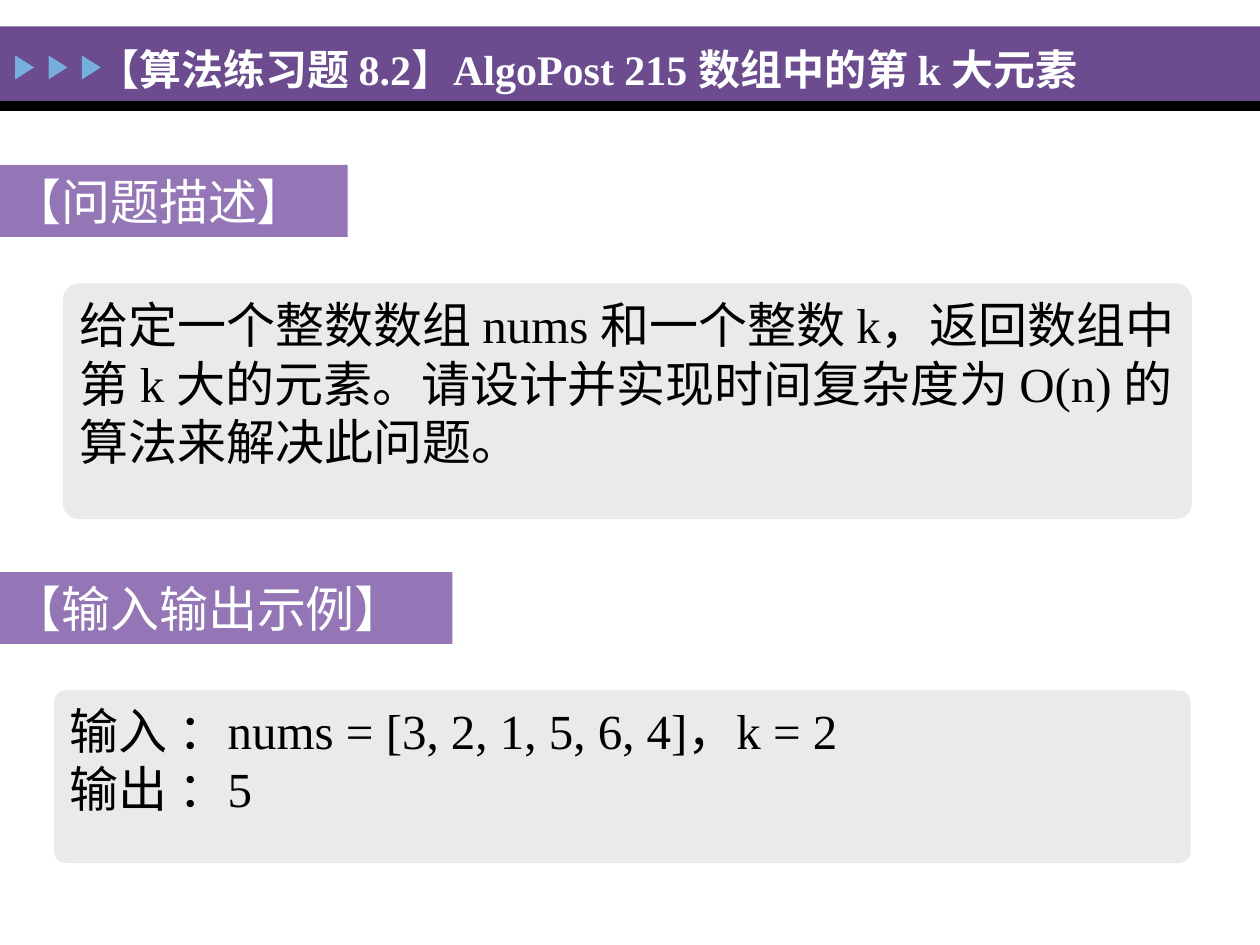
from pptx import Presentation
from pptx.dml.color import RGBColor
from pptx.enum import shapes, text
from pptx.util import Inches, Pt

# Content
TITLE = "【算法练习题 8.2】AlgoPost 215 数组中的第 k 大元素"
SECTIONS = [  # heading, heading top, heading width, panel box, panel lines
    ("【问题描述】", 1.31, 2.76, (0.5, 2.25, 8.96, 1.87),
     ["给定一个整数数组 nums 和一个整数 k，返回数组中第 k 大的元素。"
      "请设计并实现时间复杂度为 O(n) 的算法来解决此问题。"]),
    ("【输入输出示例】", 4.54, 3.59, (0.43, 5.48, 9.02, 1.37),
     ["输入 ：nums = [3, 2, 1, 5, 6, 4]，k = 2", "输出 ：5"]),
]

# Theme
THEME = dict(font="Times New Roman", title=24, body=28, paper="FEFFFF",
             ink="000000", band="6C4C8F", tag="9476B6", panel="EAEAEA",
             arrow="76AEDD")
TAG_HEIGHT = 0.57
KIND = shapes.MSO_SHAPE


def color(name):
    return RGBColor.from_string(THEME[name])


def add_block(s, kind, box, fill):
    sp = s.shapes.add_shape(kind, *map(Inches, box))
    sp.shadow.inherit = False
    sp.fill.solid()
    sp.fill.fore_color.rgb = color(fill)
    sp.line.fill.background()
    return sp


def write(sp, lines, size, ink, anchor, bold=False):
    tf = sp.text_frame
    frame = dict(word_wrap=True, auto_size=text.MSO_AUTO_SIZE.NONE,
                 vertical_anchor=anchor)
    for name, value in frame.items():
        setattr(tf, name, value)
    style = dict(name=THEME["font"], size=Pt(THEME[size]), bold=bold)
    for i, line in enumerate(lines):
        p = tf.paragraphs[0] if i == 0 else tf.add_paragraph()
        p.alignment = text.PP_ALIGN.LEFT
        r = p.add_run()
        r.text = line
        for name, value in style.items():
            setattr(r.font, name, value)
        r.font.color.rgb = color(ink)


def add_header(s):
    add_block(s, KIND.RECTANGLE, (0, 0.21, 10, 0.59), "band")
    add_block(s, KIND.RECTANGLE, (0, 0.8, 10, 0.08), "ink")
    for i in range(3):
        arrow = add_block(s, KIND.ISOSCELES_TRIANGLE,
                          (0.1 + i * 0.265, 0.46, 0.19, 0.15), "arrow")
        arrow.rotation = 90

    # Title goes in front of the band
    title = s.shapes.title
    place = dict(left=0.67, top=0.21, width=9.18, height=0.67)
    for name, value in place.items():
        setattr(title, name, Inches(value))
    write(title, [TITLE], "title", "paper", text.MSO_ANCHOR.MIDDLE, bold=True)
    s.shapes.element.append(title.element)


def add_section(s, heading, top, width, box, lines):
    tag = add_block(s, KIND.RECTANGLE, (0, top, width, TAG_HEIGHT), "tag")
    write(tag, [heading], "body", "paper", text.MSO_ANCHOR.TOP)
    panel = add_block(s, KIND.ROUNDED_RECTANGLE, box, "panel")
    panel.adjustments[0] = 0.067
    write(panel, lines, "body", "ink", text.MSO_ANCHOR.TOP)


def main():
    prs = Presentation()
    prs.slide_width, prs.slide_height = Inches(10), Inches(7.5)
    s = prs.slides.add_slide(prs.slide_layouts[5])
    s.background.fill.solid()
    s.background.fill.fore_color.rgb = color("paper")
    add_header(s)
    for section in SECTIONS:
        add_section(s, *section)
    prs.save("out.pptx")


if __name__ == "__main__":
    main()
